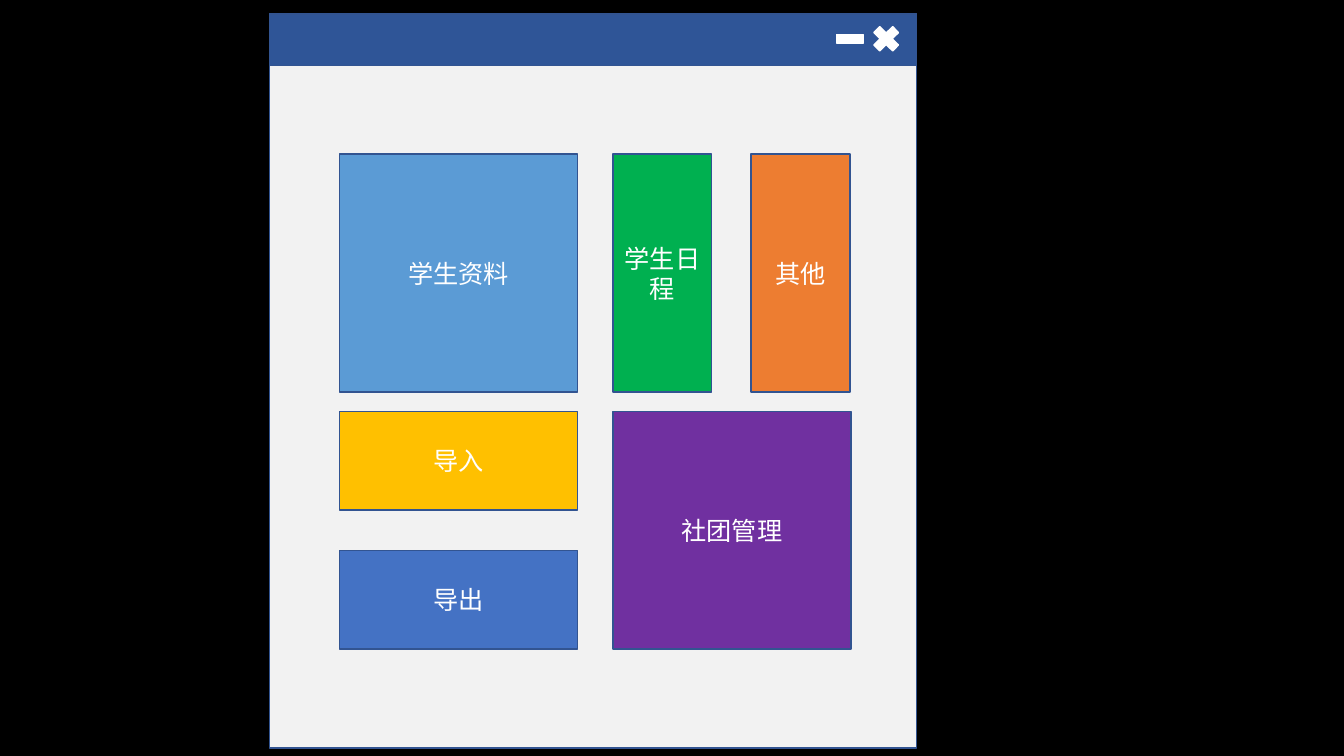
"""Build a slide showing the main window of a student management program."""
from dataclasses import dataclass

from lxml import etree
from pptx import Presentation
from pptx.dml.color import RGBColor
from pptx.enum.shapes import MSO_SHAPE
from pptx.enum.text import MSO_ANCHOR, PP_ALIGN
from pptx.oxml.ns import qn
from pptx.util import Inches, Pt

RECTANGLE = MSO_SHAPE.RECTANGLE
CLOSE_SIGN = MSO_SHAPE.MATH_MULTIPLY
MINIMIZE_SIGN = MSO_SHAPE.MATH_MINUS
MIDDLE = MSO_ANCHOR.MIDDLE
CENTER = PP_ALIGN.CENTER
BLANK_LAYOUT = 6


@dataclass(frozen=True)
class Theme:
    """Colours, font and sizes of the slide."""
    backdrop: str = "000000"
    window: str = "F2F2F2"
    title_bar: str = "2F5597"
    outline: str = "325491"
    white: str = "FFFFFF"
    font: str = "Noto Sans CJK SC"
    text_size: int = 18
    line_width: int = 1


@dataclass(frozen=True)
class Box:
    """A rectangle in inches."""
    left: float
    top: float
    width: float
    height: float


@dataclass(frozen=True)
class Part:
    """A piece of the window frame."""
    preset: MSO_SHAPE
    box: Box
    fill: str
    line: str


@dataclass(frozen=True)
class Tile:
    """A menu tile placed on the half-tile grid."""
    label: str
    fill: str
    column: int
    row: int
    columns: int
    rows: int


THEME = Theme()
SLIDE_WIDTH, SLIDE_HEIGHT = 13.33, 7.5
WINDOW = Box(2.67, 0.14, 6.42, 7.28)
BAR_HEIGHT = 0.51
SIGN_TOP, SIGN_WIDTH, SIGN_HEIGHT = 0.21, 0.36, 0.35
CLOSE_LEFT = 8.61

HALF_TILE = 0.98
FULL_TILE = 2.36
COLUMN_STARTS = (3.37, 4.75, 6.08, 7.45)
ROW_STARTS = (1.53, 2.91, 4.08, 5.46)
SPANS = {1: HALF_TILE, 2: FULL_TILE}

FRAME = (
    Part(RECTANGLE, WINDOW, THEME.window, THEME.outline),
    Part(RECTANGLE, Box(WINDOW.left, WINDOW.top, WINDOW.width, BAR_HEIGHT),
         THEME.title_bar, THEME.outline),
    Part(CLOSE_SIGN, Box(CLOSE_LEFT, SIGN_TOP, SIGN_WIDTH, SIGN_HEIGHT),
         THEME.white, THEME.white),
    Part(MINIMIZE_SIGN, Box(CLOSE_LEFT - SIGN_WIDTH, SIGN_TOP, SIGN_WIDTH, SIGN_HEIGHT),
         THEME.white, THEME.white),
)
TILES = (
    Tile("学生资料", "5B9BD5", 0, 0, 2, 2),
    Tile("导入", "FFC000", 0, 2, 2, 1),
    Tile("导出", "4472C4", 0, 3, 2, 1),
    Tile("社团管理", "7030A0", 2, 2, 2, 2),
    Tile("其他", "ED7D31", 3, 0, 1, 2),
    Tile("学生日程", "00B050", 2, 0, 1, 2),
)


def draw_part(shapes, part: Part):
    """Add one filled and outlined preset shape."""
    box = part.box
    lengths = (Inches(length) for length in (box.left, box.top, box.width, box.height))
    shape = shapes.add_shape(part.preset, *lengths)
    shape.shadow.inherit = False
    shape.fill.solid()
    shape.fill.fore_color.rgb = RGBColor.from_string(part.fill)
    shape.line.color.rgb = RGBColor.from_string(part.line)
    shape.line.width = Pt(THEME.line_width)
    return shape


def write_label(shape, label: str) -> None:
    """Write a centred label in the theme font."""
    frame = shape.text_frame
    frame.text = label
    frame.word_wrap = True
    frame.vertical_anchor = MIDDLE
    para = frame.paragraphs[0]
    para.alignment = CENTER
    font = para.runs[0].font
    font.size = Pt(THEME.text_size)
    font.color.rgb = RGBColor.from_string(THEME.white)
    font.name = THEME.font
    latin = font._element.find(qn("a:latin"))
    east_asian = etree.Element(qn("a:ea"), typeface=THEME.font)
    latin.addnext(east_asian)


def draw_tile(shapes, tile: Tile) -> None:
    """Add one labelled tile at its grid cell."""
    box = Box(COLUMN_STARTS[tile.column], ROW_STARTS[tile.row],
              SPANS[tile.columns], SPANS[tile.rows])
    shape = draw_part(shapes, Part(RECTANGLE, box, tile.fill, THEME.outline))
    write_label(shape, tile.label)


def main() -> None:
    """Build and save the deck."""
    deck = Presentation()
    deck.slide_width, deck.slide_height = Inches(SLIDE_WIDTH), Inches(SLIDE_HEIGHT)
    page = deck.slides.add_slide(deck.slide_layouts[BLANK_LAYOUT])
    page.background.fill.solid()
    page.background.fill.fore_color.rgb = RGBColor.from_string(THEME.backdrop)
    window = page.shapes.add_group_shape()
    for part in FRAME:
        draw_part(window.shapes, part)
    for tile in TILES:
        draw_tile(page.shapes, tile)
    deck.save("out.pptx")


main()
